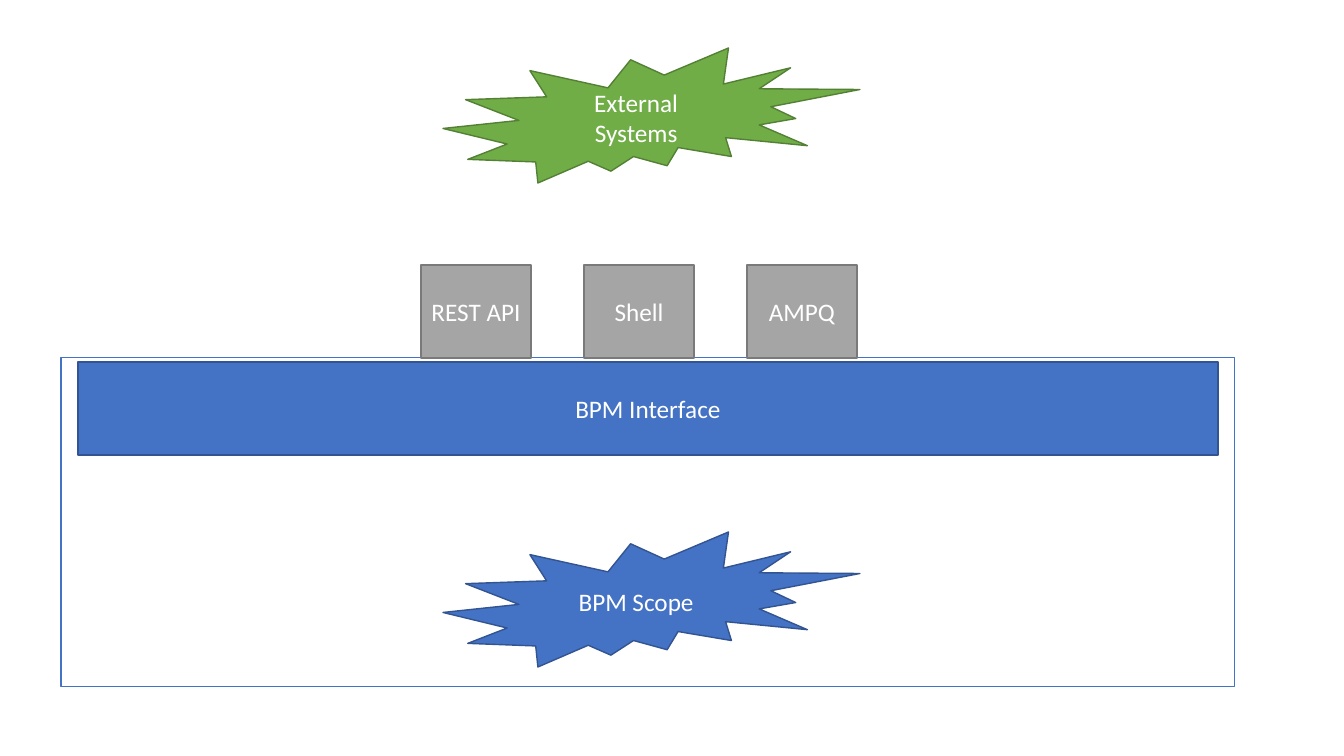
import pptx
import pptx.util
import pptx.dml.color
import pptx.enum.shapes
import pptx.enum.text

CONNECTORS = ["REST API", "Shell", "AMPQ"]
INTERFACE = "BPM Interface"
EXTERNAL = "External Systems"
SCOPE = "BPM Scope"

THEME = {
    "font": "Calibri",
    "size": 18,
    "text": "FFFFFF",
    "blue": ("4472C4", "325491"),
    "gray": ("A5A5A5", "7A7A7A"),
    "green": ("70AD47", "538035"),
    "frame": (None, "4472C4"),
}

EMU_PER_PIXEL = 914400 / 100.8
RECTANGLE = pptx.enum.shapes.MSO_SHAPE.RECTANGLE
EXPLOSION = pptx.enum.shapes.MSO_SHAPE.EXPLOSION2


def pixels(value):
    return pptx.util.Emu(round(value * EMU_PER_PIXEL))


def color(name):
    return pptx.dml.color.RGBColor.from_string(name)


def write_text(shape, text, size=THEME["size"], text_color=THEME["text"], margin=9):
    frame = shape.text_frame
    frame.word_wrap = True
    frame.margin_left = frame.margin_right = pixels(margin)
    frame.vertical_anchor = pptx.enum.text.MSO_ANCHOR.MIDDLE
    paragraph = frame.paragraphs[0]
    paragraph.alignment = pptx.enum.text.PP_ALIGN.CENTER
    run = paragraph.add_run()
    run.text = text
    run.font.name = THEME["font"]
    run.font.size = pptx.util.Pt(size)
    run.font.color.rgb = color(text_color)


def add_block(slide, kind, box, style, text=None, line_width=1):
    shape = slide.shapes.add_shape(kind, *map(pixels, box))
    shape.shadow.inherit = False
    fill, line = THEME[style]
    if fill:
        shape.fill.solid()
        shape.fill.fore_color.rgb = color(fill)
    else:
        shape.fill.background()
    shape.line.color.rgb = color(line)
    shape.line.width = pptx.util.Pt(line_width)
    if text:
        write_text(shape, text)


presentation = pptx.Presentation()
presentation.slide_width = pixels(1344)
presentation.slide_height = pixels(756)
slide = presentation.slides.add_slide(presentation.slide_layouts[6])

frame_left, frame_top, frame_width, frame_height = 61, 358, 1174, 329
inset, bar_offset, bar_height = 17, 4, 93
connector_left, connector_width, connector_step = 421, 110, 163
burst_left, burst_width, burst_height = 443, 417, 135

add_block(slide, RECTANGLE, (frame_left, frame_top, frame_width, frame_height),
          "frame", line_width=0.75)
add_block(slide, RECTANGLE,
          (frame_left + inset, frame_top + bar_offset, frame_width - 2 * inset, bar_height),
          "blue", INTERFACE)
for index, name in enumerate(CONNECTORS):
    left = connector_left + index * connector_step
    add_block(slide, RECTANGLE,
              (left, frame_top - bar_height, connector_width, bar_height), "gray", name)
for name, top, style in [(EXTERNAL, 48, "green"), (SCOPE, 532, "blue")]:
    add_block(slide, EXPLOSION, (burst_left, top, burst_width, burst_height), style, name)

presentation.save("out.pptx")
